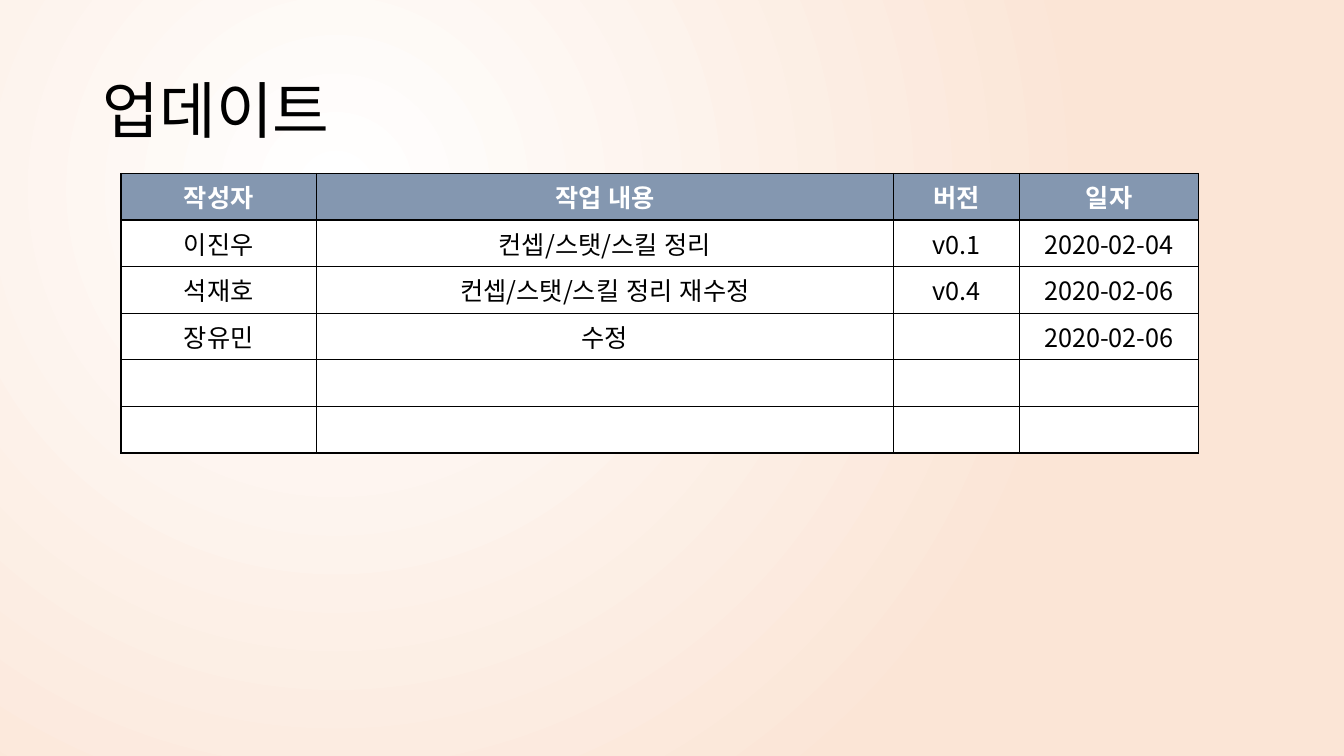
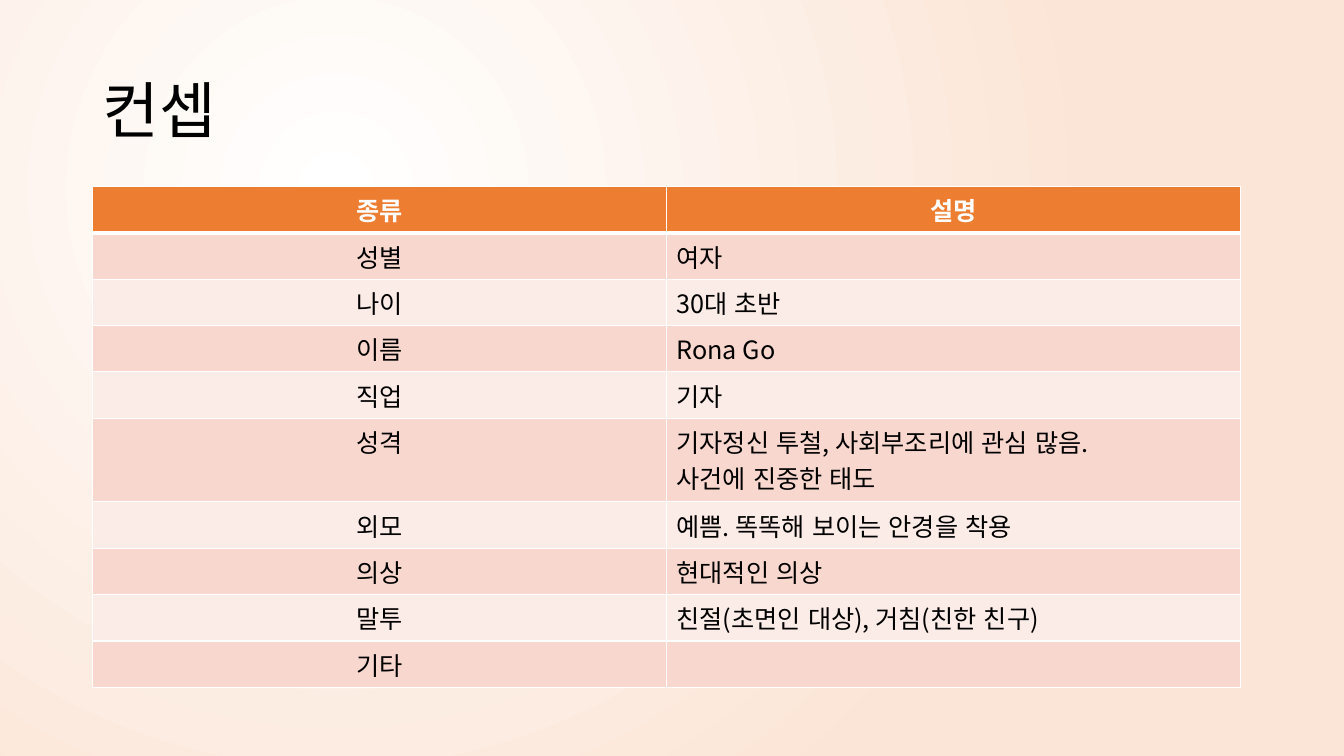
from lxml import etree
from pptx import Presentation
from pptx.dml.color import RGBColor
from pptx.enum import lang, text
from pptx.oxml.ns import qn
from pptx.util import Inches, Pt

FONT = "Noto Sans CJK KR"
KOREAN = lang.MSO_LANGUAGE_ID.KOREAN
BLACK, WHITE, PEACH = "000000", "FFFFFF", "FBE5D6"
SLATE, ORANGE, ROSE, BLUSH = "8497B0", "ED7D31", "F8D7CE", "FCECE8"
CENTER, LEFT = text.PP_ALIGN.CENTER, text.PP_ALIGN.LEFT
TOP, MIDDLE = text.MSO_ANCHOR.TOP, text.MSO_ANCHOR.MIDDLE
ROW_HEIGHT, EXTRA_LINE = 0.46, 0.37

TITLE = {"size": Pt(44), "bold": False}
HEAD = {"size": Pt(18), "bold": True}
BODY = {"size": Pt(18), "bold": False}

UPDATES = [
    ["작성자", "작업 내용", "버전", "일자"],
    ["이진우", "컨셉/스탯/스킬 정리", "v0.1", "2020-02-04"],
    ["석재호", "컨셉/스탯/스킬 정리 재수정", "v0.4", "2020-02-06"],
    ["장유민", "수정", "", "2020-02-06"],
    [""] * 4,
    [""] * 4,
]
CONCEPT = [
    ["종류", "설명"],
    ["성별", "여자"],
    ["나이", "30대 초반"],
    ["이름", "Rona Go"],
    ["직업", "기자"],
    ["성격", "기자정신 투철, 사회부조리에 관심 많음.\n사건에 진중한 태도"],
    ["외모", "예쁨. 똑똑해 보이는 안경을 착용"],
    ["의상", "현대적인 의상"],
    ["말투", "친절(초면인 대상), 거침(친한 친구)"],
    ["기타", ""],
]


def color(value):
    """Turn a hex string into a colour."""
    return RGBColor.from_string(value)


def apply(target, values):
    """Set attributes from a dict of format values."""
    for name, value in values.items():
        setattr(target, name, value)


def set_background(master):
    """Give every slide the same radial gradient."""
    fill = master.background.fill
    fill.gradient()
    for stop, value in zip(fill.gradient_stops, (WHITE, PEACH)):
        stop.color.rgb = color(value)
    grad = master.element.find(".//" + qn("a:gradFill"))
    grad.remove(grad.find(qn("a:lin")))
    path = etree.SubElement(grad, qn("a:path"), path="circle")
    etree.SubElement(path, qn("a:fillToRect"),
                     l="50000", t="50000", r="100000", b="100000")


def write(p, words, font, hue, align):
    """Fill one paragraph; an empty one only keeps its text size."""
    p.alignment = align
    if not words:
        end = etree.SubElement(p._p, qn("a:endParaRPr"),
                               sz=str(int(font["size"].pt * 100)))
        for tag in ("a:latin", "a:ea"):
            etree.SubElement(end, qn(tag), typeface=FONT)
        return
    r = p.add_run()
    r.text = words
    apply(r.font, {**font, "name": FONT, "language_id": KOREAN})
    r.font.color.rgb = color(hue)
    etree.SubElement(r.font._element, qn("a:ea"), typeface=FONT)


def add_title(s, words):
    """Place the slide title."""
    sp = s.shapes.add_textbox(Inches(0.92), Inches(0.4), Inches(11.5), Inches(1.45))
    tf = sp.text_frame
    apply(tf, {"word_wrap": True, "vertical_anchor": MIDDLE})
    p = tf.paragraphs[0]
    p.line_spacing = 0.9
    write(p, words, TITLE, BLACK, LEFT)


def set_borders(cell, hue, widths):
    """Draw the left, right, top and bottom borders of a cell."""
    tc_pr = cell._tc.get_or_add_tcPr()
    for i, (side, width) in enumerate(zip("LRTB", widths)):
        ln = etree.Element(qn("a:ln" + side), w=str(Pt(width)))
        fill = etree.SubElement(ln, qn("a:solidFill"))
        etree.SubElement(fill, qn("a:srgbClr"), val=hue)
        tc_pr.insert(i, ln)


def add_table(s, rows, left, top, widths, aligns, head_fill, bands, border,
              anchor=TOP, head_rule=1):
    """Add a table with a header row and body rows in alternating fills."""
    heights = [ROW_HEIGHT + EXTRA_LINE * max(words.count("\n") for words in row)
               for row in rows]
    table = s.shapes.add_table(len(rows), len(widths), Inches(left), Inches(top),
                               Inches(sum(widths)), Inches(sum(heights))).table
    table.horz_banding = False
    for column, width in zip(table.columns, widths):
        column.width = Inches(width)
    for i, row in enumerate(rows):
        table.rows[i].height = Inches(heights[i])
        head = i == 0
        fill = head_fill if head else bands[(i - 1) % len(bands)]
        font, hue = (HEAD, WHITE) if head else (BODY, BLACK)
        rules = (1, 1, head_rule if i == 1 else 1, head_rule if head else 1)
        for j, words in enumerate(row):
            cell = table.cell(i, j)
            cell.vertical_anchor = anchor
            cell.fill.solid()
            cell.fill.fore_color.rgb = color(fill)
            set_borders(cell, border, rules)
            tf = cell.text_frame
            for n, line in enumerate(words.split("\n")):
                p = tf.add_paragraph() if n else tf.paragraphs[0]
                write(p, line, font, hue, CENTER if head else aligns[j])


def main():
    """Build and save the deck."""
    prs = Presentation()
    apply(prs, {"slide_width": Inches(13.33), "slide_height": Inches(7.5)})
    set_background(prs.slide_master)
    blank = prs.slide_layouts[6]

    s = prs.slides.add_slide(blank)
    add_table(s, UPDATES, 1.2, 1.72, [1.94, 5.72, 1.25, 1.78], [CENTER] * 4,
              SLATE, [WHITE], BLACK, anchor=MIDDLE)
    add_title(s, "업데이트")

    s = prs.slides.add_slide(blank)
    add_title(s, "컨셉")
    add_table(s, CONCEPT, 0.92, 1.85, [5.69, 5.69], [CENTER, LEFT],
              ORANGE, [ROSE, BLUSH], WHITE, head_rule=3)

    prs.save("out.pptx")


main()
